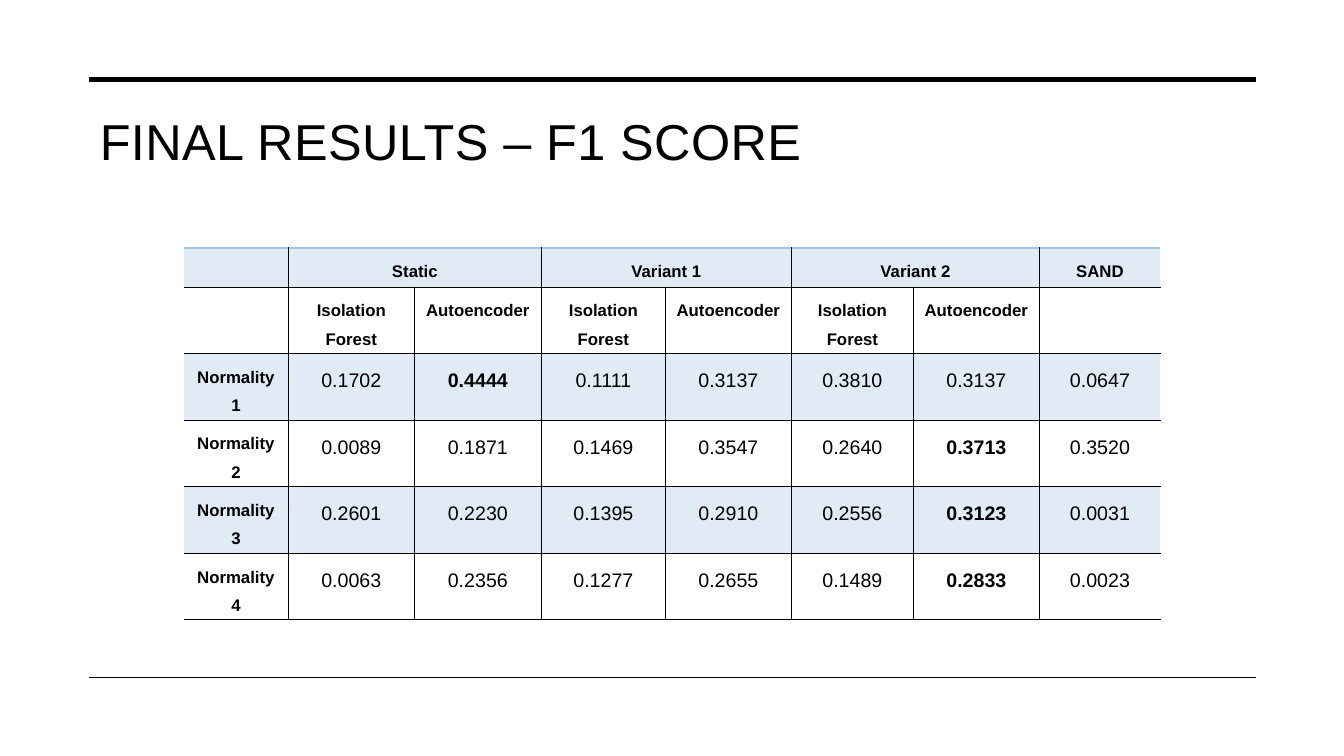
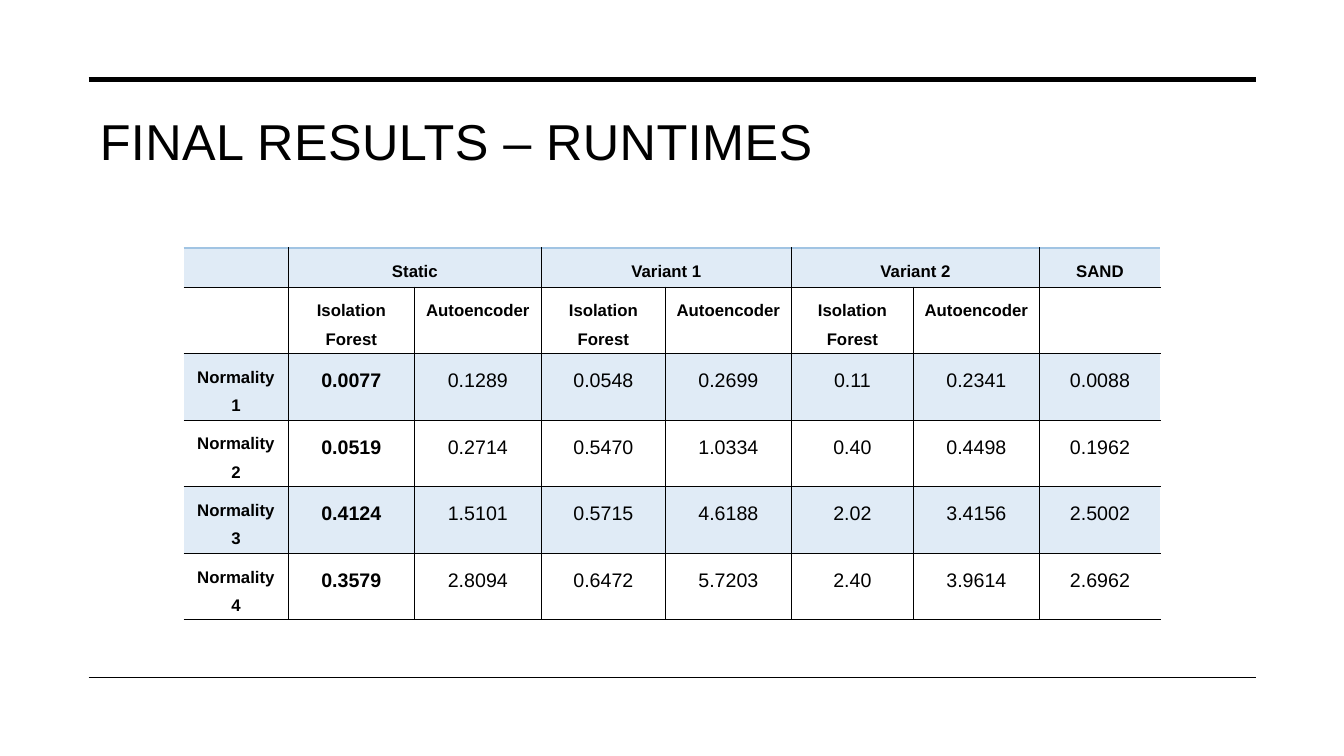
from lxml.etree import SubElement
from pptx import Presentation
from pptx.dml.color import RGBColor
from pptx.enum.text import MSO_ANCHOR as Anchor, PP_ALIGN as Align
from pptx.oxml.ns import qn
from pptx.util import Inches, Pt

BLACK = RGBColor(0x00, 0x00, 0x00)
WHITE = RGBColor(0xFF, 0xFF, 0xFF)
PALE_BLUE = RGBColor(0xE0, 0xEB, 0xF6)
EDGE_BLUE = RGBColor(0xA1, 0xC4, 0xE3)
FONT = "Arial"

RULES = [(0.79, 3.5), (6.72, 1)]
GROUPS = ["", "Static", None, "Variant 1", None, "Variant 2", None, "SAND"]
METHODS = [""] + ["Isolation Forest", "Autoencoder"] * 3 + [""]
COLUMN_WIDTHS = [1.04, 1.25, 1.26, 1.23, 1.25, 1.21, 1.25, 1.2]
ROW_HEIGHTS = [0.39] + [0.66] * 5

RESULTS = [
    ("FINAL RESULTS – F1 SCORE", max, [
        ["0.1702", "0.4444", "0.1111", "0.3137", "0.3810", "0.3137", "0.0647"],
        ["0.0089", "0.1871", "0.1469", "0.3547", "0.2640", "0.3713", "0.3520"],
        ["0.2601", "0.2230", "0.1395", "0.2910", "0.2556", "0.3123", "0.0031"],
        ["0.0063", "0.2356", "0.1277", "0.2655", "0.1489", "0.2833", "0.0023"],
    ]),
    ("FINAL RESULTS – RUNTIMES", min, [
        ["0.0077", "0.1289", "0.0548", "0.2699", "0.11", "0.2341", "0.0088"],
        ["0.0519", "0.2714", "0.5470", "1.0334", "0.40", "0.4498", "0.1962"],
        ["0.4124", "1.5101", "0.5715", "4.6188", "2.02", "3.4156", "2.5002"],
        ["0.3579", "2.8094", "0.6472", "5.7203", "2.40", "3.9614", "2.6962"],
    ]),
]


def write(frame, text, size=12, bold=False, align=Align.CENTER, spacing=1.5, tracking=None):
    para = frame.paragraphs[0]
    para.alignment = align
    para.line_spacing = spacing
    span = para.add_run()
    span.text = text
    span.font.name = FONT
    span.font.size = Pt(size)
    span.font.bold = bold
    span.font.color.rgb = BLACK
    if tracking:
        span.font._element.set("spc", str(tracking))


def set_borders(cell, left, right, top, bottom):
    properties = cell._tc.get_or_add_tcPr()
    sides = [("L", left), ("R", right), ("T", top), ("B", bottom)]
    for place, (side, color) in enumerate(sides):
        line = SubElement(properties, qn(f"a:ln{side}"), w=str(Pt(1)))
        properties.insert(place, line)
        if color is None:
            SubElement(line, qn("a:noFill"))
        else:
            fill = SubElement(line, qn("a:solidFill"))
            SubElement(fill, qn("a:srgbClr"), val=str(color))


def add_rules(page, layout):
    for top, weight in RULES:
        rule = page.shapes.add_connector(
            1, Inches(0.88), Inches(top), Inches(12.46), Inches(top))
        rule.line.color.rgb = BLACK
        rule.line.width = Pt(weight)
        SubElement(rule._element.spPr, qn("a:effectLst"))
        layout.shapes._spTree.append(rule._element)


def add_title(page, text):
    title = page.shapes.title
    title.left, title.top = Inches(0.89), Inches(1.02)
    title.width, title.height = Inches(9.42), Inches(0.74)
    title.text_frame.vertical_anchor = Anchor.MIDDLE
    write(title.text_frame, text, size=36, align=Align.LEFT, spacing=1, tracking=30)


def add_results(page, choose_best, values):
    rows = [GROUPS, METHODS]
    rows += [[f"Normality {n}"] + row for n, row in enumerate(values, 1)]
    table = page.shapes.add_table(
        len(rows), len(GROUPS), Inches(1.82), Inches(2.46),
        Inches(sum(COLUMN_WIDTHS)), Inches(sum(ROW_HEIGHTS))).table
    table.first_row = table.horz_banding = False
    for column, width in zip(table.columns, COLUMN_WIDTHS):
        column.width = Inches(width)
    for row, height in zip(table.rows, ROW_HEIGHTS):
        row.height = Inches(height)

    last = len(GROUPS) - 1
    for r, texts in enumerate(rows):
        best = choose_best(texts[1:], key=float) if r > 1 else None
        for c, text in enumerate(texts):
            cell = table.cell(r, c)
            cell.margin_left = cell.margin_right = Inches(0.07)
            cell.margin_top, cell.margin_bottom = Inches(0.05), 0
            cell.fill.solid()
            cell.fill.fore_color.rgb = WHITE if r % 2 else PALE_BLUE
            set_borders(cell, left=BLACK if c else None,
                        right=WHITE if c == last else BLACK,
                        top=BLACK if r else EDGE_BLUE, bottom=BLACK)
            if text:
                is_value = r > 1 and c > 0
                write(cell.text_frame, text, size=14 if is_value else 12,
                      bold=not is_value or text == best)
    for c, group in enumerate(GROUPS):
        if group is None:
            table.cell(0, c - 1).merge(table.cell(0, c))


def main():
    deck = Presentation()
    deck.slide_width, deck.slide_height = Inches(13.33), Inches(7.5)
    layout = deck.slide_layouts[5]
    for number, (title, choose_best, values) in enumerate(RESULTS):
        page = deck.slides.add_slide(layout)
        if number == 0:
            add_rules(page, layout)
        add_title(page, title)
        add_results(page, choose_best, values)
    deck.save("out.pptx")


if __name__ == "__main__":
    main()
